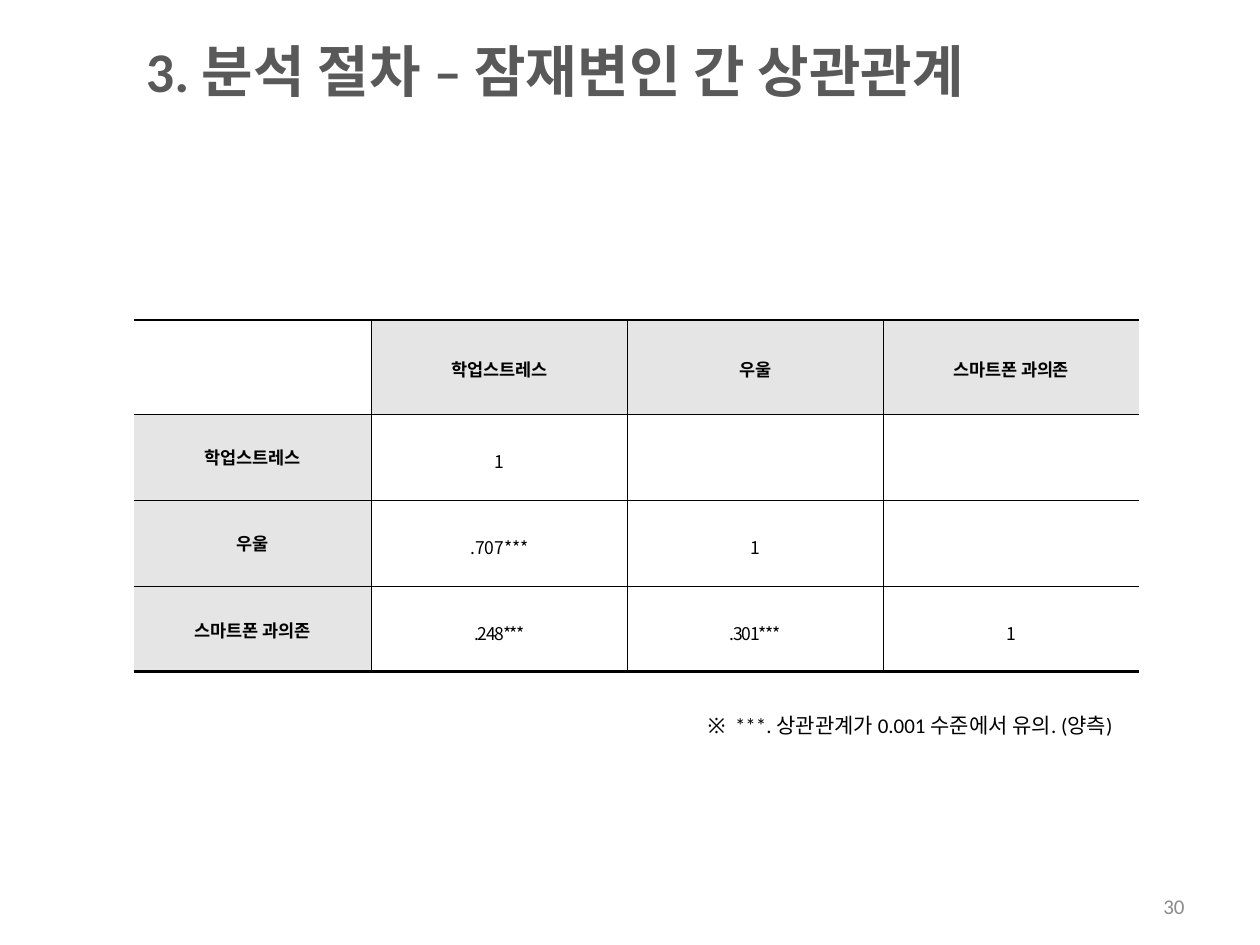
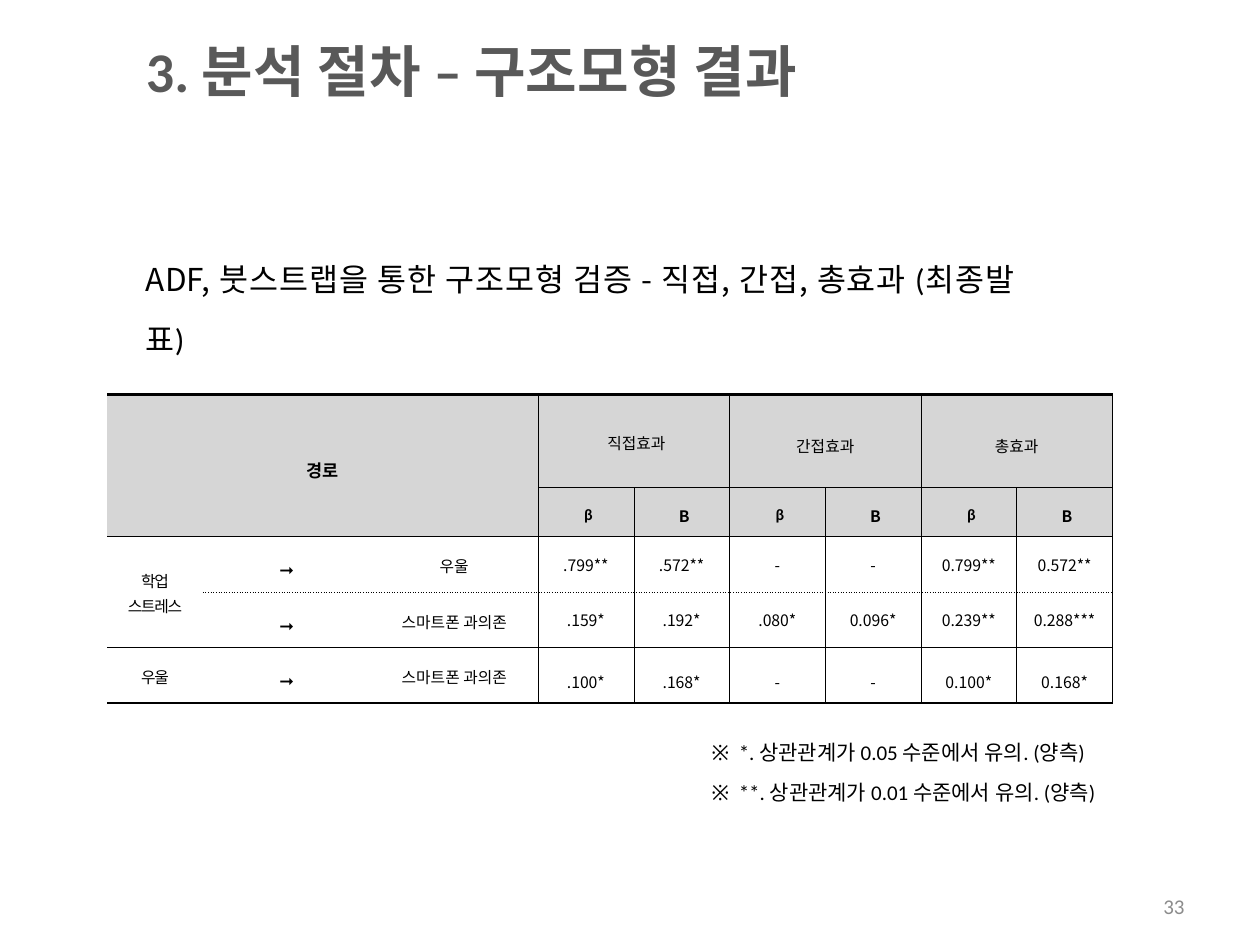
from lxml import etree
from pptx import Presentation
from pptx import util as u
from pptx.dml.color import RGBColor
from pptx.enum import text
from pptx.oxml import ns

# Shared style
BLACK, TITLE_GRAY, NUMBER_GRAY = "000000", "595959", "8C8C8C"
BODY_FONT, DATA_FONT = "Calibri", "Noto Sans CJK KR"
THIN, THICK = 0.28, 1.7
MIDDLE = text.MSO_ANCHOR.MIDDLE
CENTER, RIGHT, JUSTIFY = (text.PP_ALIGN.CENTER, text.PP_ALIGN.RIGHT,
                          text.PP_ALIGN.JUSTIFY)


def color(hex_code):
    return RGBColor.from_string(hex_code)


def apply(target, values):
    for name, value in values.items():
        setattr(target, name, value)


def add_span(para, words, size, font=BODY_FONT, bold=False, ink=BLACK, tracking=0):
    span = para.add_run()
    span.text = words
    apply(span.font, {"name": font, "size": u.Pt(size), "bold": bold})
    span.font.color.rgb = color(ink)
    properties = span.font._element
    properties.set("lang", "ko-KR")
    if tracking:
        properties.set("spc", str(round(tracking * 100)))
    east_asian = etree.SubElement(properties, ns.qn("a:ea"))
    east_asian.set("typeface", BODY_FONT)


def add_text(page, place, paragraphs, size, align=None, anchor=None,
             spacing=None, top_inset=0.05, **style):
    """Each paragraph is a list of (words, font) pairs."""
    box = page.shapes.add_textbox(*map(u.Inches, place))
    frame = box.text_frame
    apply(frame, {"word_wrap": True, "vertical_anchor": anchor,
                  "margin_top": u.Inches(top_inset)})
    for index, spans in enumerate(paragraphs):
        para = frame.add_paragraph() if index else frame.paragraphs[0]
        apply(para, {"alignment": align, "line_spacing": spacing})
        for words, font in spans:
            add_span(para, words, size, font, **style)


def start_page(deck, title, number):
    page = deck.slides.add_slide(deck.slide_layouts[6])
    add_text(page, (1.06, 0.12, 7.75, 0.87), [[(title, BODY_FONT)]], 32,
             anchor=MIDDLE, bold=True, ink=TITLE_GRAY)
    add_text(page, (7.17, 7.03, 2.33, 0.32), [[(number, BODY_FONT)]], 12,
             align=RIGHT, anchor=MIDDLE, ink=NUMBER_GRAY)
    return page


def add_notes(page, place, lines):
    add_text(page, place, [[(line, BODY_FONT)] for line in lines], 12,
             align=JUSTIFY, spacing=1.6)


# Tables
def add_grid(page, left, top, widths, heights):
    frame = page.shapes.add_table(
        len(heights), len(widths), u.Inches(left), u.Inches(top),
        u.Inches(sum(widths)), u.Inches(sum(heights)))
    grid = frame.table
    apply(grid, {"first_row": False, "horz_banding": False})
    for column, width in zip(grid.columns, widths):
        column.width = u.Inches(width)
    for row, height in zip(grid.rows, heights):
        row.height = u.Inches(height)
    return grid


def draw_edge(cell, side, width, dash="solid"):
    edge = etree.SubElement(cell._tc.get_or_add_tcPr(), ns.qn(f"a:ln{side}"))
    if not width:
        etree.SubElement(edge, ns.qn("a:noFill"))
        return
    edge.set("w", str(u.Pt(width)))
    fill = etree.SubElement(edge, ns.qn("a:solidFill"))
    etree.SubElement(fill, ns.qn("a:srgbClr")).set("val", BLACK)
    etree.SubElement(edge, ns.qn("a:prstDash")).set("val", dash)


def rule_grid(grid, ruled_columns, dotted_row=None):
    """Thick top and bottom, thin lines between, vertical lines where ruled."""
    last_row = len(grid.rows)
    for row in range(last_row):
        for column in range(len(grid.columns)):
            cell = grid.cell(row, column)
            if cell.is_spanned:
                continue
            for side, line in (("L", column), ("R", column + cell.span_width)):
                draw_edge(cell, side, THIN if line in ruled_columns else 0)
            for side, line in (("T", row), ("B", row + cell.span_height)):
                draw_edge(cell, side, THICK if line in (0, last_row) else THIN,
                          "sysDot" if line == dotted_row else "solid")


def fill_cell(cell, words, size, shade=None, spacing=1.0, side_inset=0.02,
              indent=0, bold=False, tracking=0):
    apply(cell, {"vertical_anchor": MIDDLE,
                 "margin_left": u.Inches(side_inset + indent),
                 "margin_right": u.Inches(side_inset),
                 "margin_top": u.Inches(0.02), "margin_bottom": u.Inches(0.02)})
    if shade:
        cell.fill.solid()
        cell.fill.fore_color.rgb = color(shade)
    else:
        cell.fill.background()
    font = DATA_FONT if words.isascii() else BODY_FONT
    for index, line in enumerate(words.split("\n")):
        para = cell.text_frame.add_paragraph() if index else cell.text_frame.paragraphs[0]
        apply(para, {"alignment": CENTER, "line_spacing": spacing})
        if line:
            add_span(para, line, size, font, bold, tracking=tracking)


def add_correlations(page):
    factors = ["학업스트레스", "우울", "스마트폰 과의존"]
    rows = [["", *factors],
            [factors[0], "1", "", ""],
            [factors[1], ".707***", "1", ""],
            [factors[2], ".248***", ".301***", "1"]]
    grid = add_grid(page, 1.06, 2.54, [1.89] + [2.03] * 3, [0.75] + [0.68] * 3)
    rule_grid(grid, range(1, 4))
    for r, row in enumerate(rows):
        for c, words in enumerate(row):
            heading = words in factors
            fill_cell(grid.cell(r, c), words, 10, "E5E5E5" if heading else None,
                      spacing=1.1 if c == 0 and r in (1, 2) else 1.3,
                      side_inset=0.07, bold=heading,
                      tracking=-0.7 if r == 3 and c in (1, 2) else 0)


def add_effects(page):
    shade = "D6D6D6"
    paths = [["학업\n스트레스", "➞", "우울"],
             ["", "➞", "스마트폰 과의존"],
             ["우울", "➞", "스마트폰 과의존"]]
    effects = [[".799**", ".572**", "-", "-", "0.799**", "0.572**"],
               [".159*", ".192*", ".080*", "0.096*", "0.239**", "0.288***"],
               [".100*", ".168*", "-", "-", "0.100*", "0.168*"]]
    grid = add_grid(page, 0.85, 3.13, [0.76, 1.33, 1.33] + [0.76] * 6,
                    [0.74, 0.39] + [0.44] * 3)
    grid.cell(0, 0).merge(grid.cell(1, 2))
    grid.cell(2, 0).merge(grid.cell(3, 0))
    for column in (3, 5, 7):
        grid.cell(0, column).merge(grid.cell(0, column + 1))
    rule_grid(grid, range(3, 10), dotted_row=3)

    # Headings
    fill_cell(grid.cell(0, 0), "경로", 10, shade, 1.6, bold=True)
    for index, effect in enumerate(["직접효과", "간접효과", "총효과"]):
        column = 3 + 2 * index
        first = index == 0
        fill_cell(grid.cell(0, column), effect, 9, shade,
                  1.33 if first else 1.6, indent=0.04 if first else 0)
        for offset, symbol in enumerate("βB"):
            fill_cell(grid.cell(1, column + offset), symbol, 9, shade, 1.33,
                      indent=0.04, bold=True)

    # Paths and their effects
    for r, (path_row, values) in enumerate(zip(paths, effects), start=2):
        for c, words in enumerate(path_row):
            if not words:
                continue
            arrow = c == 1
            fill_cell(grid.cell(r, c), words, 10 if arrow else 9,
                      spacing=1.6 if arrow else 1.3, tracking=0 if c == 2 else -0.7)
        for c, words in enumerate(values, start=3):
            fill_cell(grid.cell(r, c), words, 9, spacing=1.6 if r == 4 else 1.0)


def main():
    deck = Presentation()
    apply(deck, {"slide_width": u.Inches(10), "slide_height": u.Inches(7.5)})

    # Correlations between latent variables
    page = start_page(deck, "3. 분석 절차 – 잠재변인 간 상관관계", "30")
    add_notes(page, (5.52, 5.49, 3.51, 1.03),
              ["※  ***. 상관관계가 0.001 수준에서 유의. (양측)"])
    add_correlations(page)

    # Structural model results
    page = start_page(deck, "3. 분석 절차 – 구조모형 결과", "33")
    add_notes(page, (5.55, 5.7, 3.51, 1.36),
              [f"※  {stars}. 상관관계가 {level} 수준에서 유의. (양측)"
               for stars, level in (("*", "0.05"), ("**", "0.01"))])
    lead = [("ADF, ", DATA_FONT), ("붓스트랩을 통한 구조모형 검증 ", BODY_FONT),
            ("- ", DATA_FONT), ("직접", BODY_FONT), (", ", DATA_FONT),
            ("간접", BODY_FONT), (", ", DATA_FONT), ("총효과 (최종발표)", BODY_FONT)]
    add_text(page, (1.06, 1.45, 7.09, 1.39), [lead], 18, align=JUSTIFY,
             spacing=1.6, top_inset=0.43)
    add_effects(page)

    deck.save("out.pptx")


if __name__ == "__main__":
    main()
